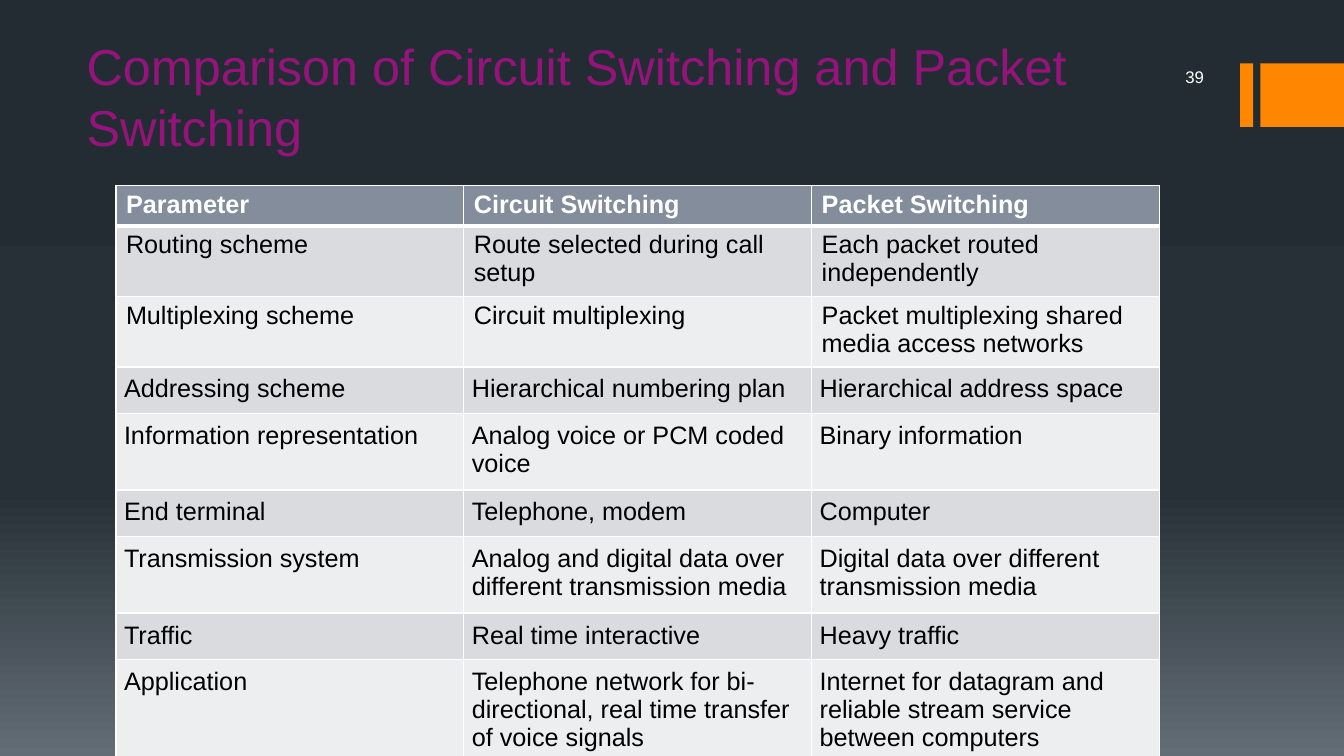
from copy import deepcopy

from lxml import etree
from pptx import Presentation, util as u
from pptx.dml.color import RGBColor
from pptx.enum import shapes, text
from pptx.oxml.ns import qn

# Content
TITLE = "Comparison of Circuit Switching and Packet Switching"
PAGE_NUMBER = "39"
ROWS = [
    ("Parameter", "Circuit Switching", "Packet Switching"),
    ("Routing scheme", "Route selected during call setup",
     "Each packet routed independently"),
    ("Multiplexing scheme", "Circuit multiplexing",
     "Packet multiplexing shared media access networks"),
    ("Addressing scheme", "Hierarchical numbering plan", "Hierarchical address space"),
    ("Information representation", "Analog voice or PCM coded voice",
     "Binary information"),
    ("End terminal", "Telephone, modem", "Computer"),
    ("Transmission system", "Analog and digital data over different transmission media",
     "Digital data over different transmission media"),
    ("Traffic", "Real time interactive", "Heavy traffic"),
    ("Application",
     "Telephone network for bi-directional, real time transfer of voice signals",
     "Internet for datagram and reliable stream service between computers"),
]
ROW_HEIGHTS = [0.39, 0.67, 0.67, 0.45, 0.45, 0.45, 0.74, 0.45, 1.02]
COLUMN_WIDTH = 3.45
FIRST_PADDED_ROW = 3
PADDING = 0.08

# Style
FONT = "Arial"
WHITE, BLACK, ORANGE, PURPLE = "FFFFFF", "000000", "FF8600", "94147C"
HEADER_FILL, BAND_FILLS = "838D9B", ("EDEEEF", "D9DBDE")
BACKGROUND = [(0, "242C33"), (0.65, "273037"), (1, "636D76")]
ACCENT_BARS = [(12.3, 0.13), (12.5, 0.84)]


def color(value):
    return RGBColor.from_string(value)


def format_text(frame, size, tint, bold=False, align=text.PP_ALIGN.LEFT):
    para = frame.paragraphs[0]
    para.alignment = align
    for span in para.runs:
        span.font.name, span.font.size, span.font.bold = FONT, u.Pt(size), bold
        span.font.color.rgb = color(tint)


def add_text(page, area, words, anchor, size, tint, **style):
    box = page.shapes.add_textbox(*map(u.Inches, area))
    frame = box.text_frame
    frame.word_wrap = True
    frame.vertical_anchor = anchor
    frame.text = words
    format_text(frame, size, tint, **style)


def add_borders(cell, widths):
    properties = cell._tc.get_or_add_tcPr()
    for index, (side, points) in enumerate(widths.items()):
        line = etree.Element(qn("a:ln" + side), w=str(u.Pt(points)))
        fill = etree.SubElement(line, qn("a:solidFill"))
        etree.SubElement(fill, qn("a:srgbClr"), val=WHITE)
        properties.insert(index, line)


def paint_background(page):
    fill = page.background.fill
    fill.gradient()
    fill.gradient_angle = 270
    stops = page.element.find(".//" + qn("a:gsLst"))
    stops.append(deepcopy(stops[-1]))
    for stop, (position, tint) in zip(fill.gradient_stops, BACKGROUND):
        stop.position = position
        stop.color.rgb = color(tint)


def add_comparison(page):
    columns = len(ROWS[0])
    frame = page.shapes.add_table(
        len(ROWS), columns, u.Inches(1.15), u.Inches(1.84),
        u.Inches(COLUMN_WIDTH * columns), u.Inches(sum(ROW_HEIGHTS)))
    table = frame.table
    for column in table.columns:
        column.width = u.Inches(COLUMN_WIDTH)
    for r, (words, height) in enumerate(zip(ROWS, ROW_HEIGHTS)):
        table.rows[r].height = u.Inches(height)
        header = r == 0
        for c, word in enumerate(words):
            cell = table.cell(r, c)
            cell.text = word
            format_text(cell.text_frame, 18, WHITE if header else BLACK, header)
            if r >= FIRST_PADDED_ROW:
                cell.margin_left = cell.margin_right = u.Inches(PADDING)
                cell.margin_top = cell.margin_bottom = u.Inches(PADDING)
            cell.fill.solid()
            cell.fill.fore_color.rgb = color(HEADER_FILL if header else BAND_FILLS[r % 2])
            add_borders(cell, {"L": 1, "R": 1, "T": 3 if r == 1 else 1,
                               "B": 3 if header else 1})


def main():
    deck = Presentation()
    deck.slide_width, deck.slide_height = u.Inches(13.33), u.Inches(7.5)
    page = deck.slides.add_slide(deck.slide_layouts[6])
    paint_background(page)

    # Accent bars at the right edge
    for left, width in ACCENT_BARS:
        bar = page.shapes.add_shape(
            shapes.MSO_SHAPE.RECTANGLE, *map(u.Inches, (left, 0.63, width, 0.63)))
        bar.shadow.inherit = False
        bar.fill.solid()
        bar.fill.fore_color.rgb = color(ORANGE)
        bar.line.fill.background()

    # Title, table and page number
    add_text(page, (0.76, 0.81, 11.55, 0.79), TITLE, text.MSO_ANCHOR.BOTTOM, 36, PURPLE)
    add_comparison(page)
    add_text(page, (10.67, 0.6, 1.37, 0.33), PAGE_NUMBER, text.MSO_ANCHOR.MIDDLE,
             12, WHITE, align=text.PP_ALIGN.RIGHT)
    deck.save("out.pptx")


if __name__ == "__main__":
    main()
